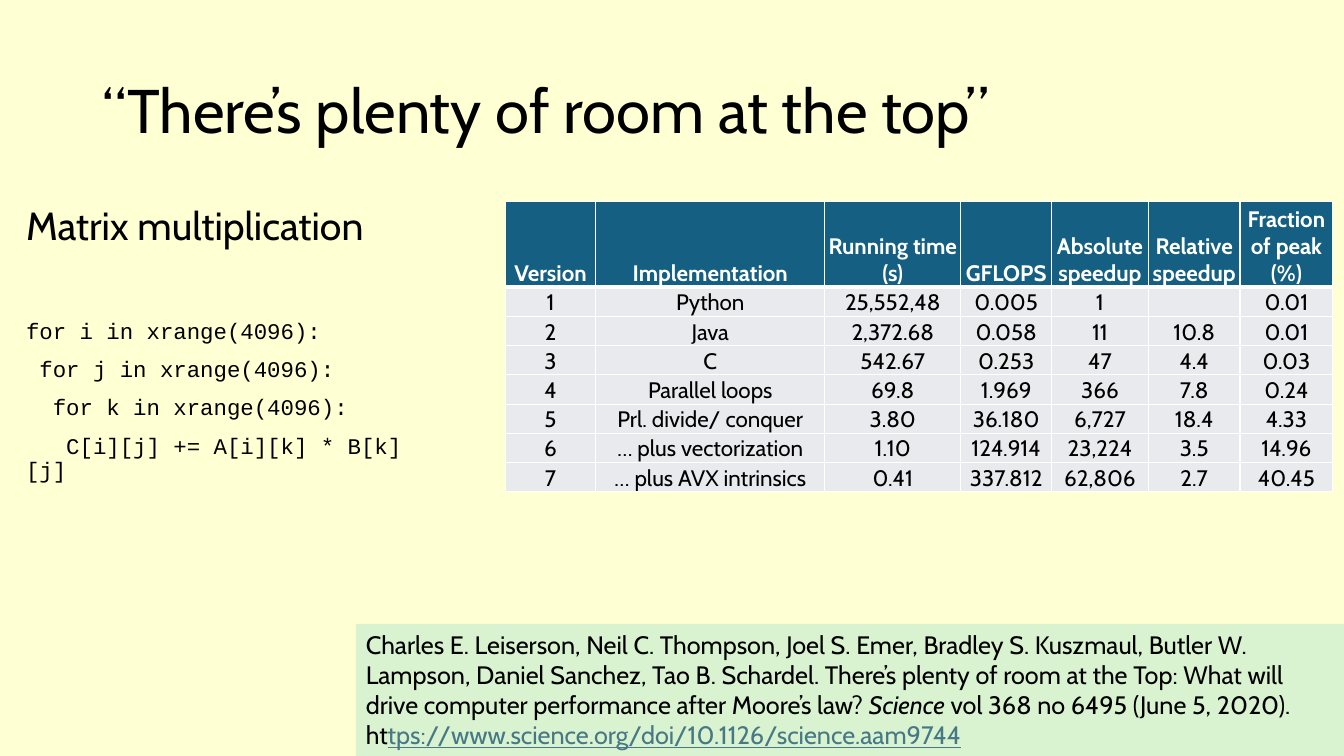
from dataclasses import dataclass

from lxml.etree import SubElement
from pptx import Presentation
from pptx.dml.color import RGBColor
from pptx.enum.shapes import MSO_SHAPE
from pptx.enum.text import MSO_ANCHOR, MSO_AUTO_SIZE, PP_ALIGN
from pptx.oxml.ns import qn
from pptx.slide import Slide
from pptx.table import _Cell
from pptx.text.text import TextFrame, _Paragraph
from pptx.util import Emu, Pt

PX = 9144  # 100 px to the inch
SANS = "Cabin"
MONO = "Courier New"

CREAM = RGBColor(0xFF, 0xFF, 0xD4)
BLACK = RGBColor(0, 0, 0)
WHITE = RGBColor(0xFF, 0xFF, 0xFF)
BLUE = RGBColor(0x15, 0x60, 0x82)
GRAY = RGBColor(0xE8, 0xEA, 0xED)
GREEN = RGBColor(0xD9, 0xF2, 0xD0)
LINK = RGBColor(0x46, 0x78, 0x86)


@dataclass(frozen=True)
class Style:
    size: int
    face: str = SANS
    color: RGBColor = BLACK
    bold: bool = False
    slant: bool = False
    under: bool = False


@dataclass(frozen=True)
class Line:
    text: str
    style: Style
    before: int = 0


@dataclass(frozen=True)
class Column:
    head: str
    width: int
    cells: tuple[str, ...]


CODE = Style(16, MONO)
LINES = (
    Line("Matrix multiplication", Style(28)),
    Line("for i in xrange(4096):", CODE, 51),
    Line(" for j in xrange(4096):", CODE, 10),
    Line("  for k in xrange(4096):", CODE, 10),
    Line("   C[i][j] += A[i][k] * B[k][j]", CODE, 10),
)

COLUMNS = (
    Column("Version", 90, tuple("1234567")),
    Column("Implementation", 227, (
        "Python", "Java", "C", "Parallel loops", "Prl. divide/ conquer",
        "… plus vectorization", "… plus AVX intrinsics")),
    Column("Running time (s)", 135, (
        "25,552,48", "2,372.68", "542.67", "69.8", "3.80", "1.10", "0.41")),
    Column("GFLOPS", 90, (
        "0.005", "0.058", "0.253", "1.969", "36.180", "124.914", "337.812")),
    Column("Absolute speedup", 96, (
        "1", "11", "47", "366", "6,727", "23,224", "62,806")),
    Column("Relative speedup", 91, (
        "", "10.8", "4.4", "7.8", "18.4", "3.5", "2.7")),
    Column("Fraction of peak (%)", 92, (
        "0.01", "0.01", "0.03", "0.24", "4.33", "14.96", "40.45")),
)
HEAD_H, ROW_H = 85, 29

NOTE = Style(18)
SOURCE = (
    ("Charles E. Leiserson, Neil C. Thompson, Joel S. Emer, Bradley S. "
     "Kuszmaul, Butler W. Lampson, Daniel Sanchez, Tao B. Schardel. There’s "
     "plenty of room at the Top: What will drive computer performance after "
     "Moore’s law? ", NOTE),
    ("Science", Style(18, slant=True)),
    (" vol 368 no 6495 (June 5, 2020). ht", NOTE),
    ("tps://www.science.org/doi/10.1126/science.aam9744",
     Style(18, color=LINK, under=True)),
)


def px(*sizes: int) -> list[Emu]:
    return [Emu(size * PX) for size in sizes]


def add_run(para: _Paragraph, text: str, style: Style) -> None:
    run = para.add_run()
    run.text = text
    font = run.font
    font.size, font.name = Pt(style.size), style.face
    font.color.rgb = style.color
    font.bold, font.italic, font.underline = style.bold, style.slant, style.under


def add_lines(frame: TextFrame, lines: tuple[Line, ...]) -> None:
    frame.word_wrap = True
    frame.auto_size = MSO_AUTO_SIZE.NONE
    for i, line in enumerate(lines):
        para = frame.add_paragraph() if i else frame.paragraphs[0]
        para.alignment = PP_ALIGN.LEFT
        para.line_spacing = 0.9
        para.space_before = Pt(line.before)
        add_run(para, line.text, line.style)


def set_edge(cell: _Cell, side: str, width: int) -> None:
    edge = SubElement(cell._tc.get_or_add_tcPr(), qn(f"a:ln{side}"), w=str(Pt(width)))
    fill = SubElement(edge, qn("a:solidFill"))
    SubElement(fill, qn("a:srgbClr"), val=str(WHITE))


def fill_cell(cell: _Cell, text: str, row: int) -> None:
    head = row == 0
    top, bottom = (3 if row == 1 else 1), (3 if head else 1)
    for side, width in zip("LRTB", (1, 1, top, bottom)):
        set_edge(cell, side, width)
    cell.fill.solid()
    cell.fill.fore_color.rgb = BLUE if head else GRAY
    cell.vertical_anchor = MSO_ANCHOR.BOTTOM
    cell.margin_left, cell.margin_right, cell.margin_top, cell.margin_bottom = px(1, 1, 1, 0)
    para = cell.text_frame.paragraphs[0]
    para.alignment = PP_ALIGN.CENTER
    if text:
        add_run(para, text, Style(16, color=WHITE if head else BLACK, bold=head))
    else:
        SubElement(para._p, qn("a:endParaRPr"), sz="1600")


def add_grid(slide: Slide, left: int, top: int) -> None:
    count = len(COLUMNS[0].cells)
    wide = sum(col.width for col in COLUMNS)
    tall = HEAD_H + count * ROW_H
    table = slide.shapes.add_table(
        count + 1, len(COLUMNS), *px(left, top, wide, tall)).table
    table.horz_banding = False
    for i, row in enumerate(table.rows):
        row.height = Emu((ROW_H if i else HEAD_H) * PX)
    for c, col in enumerate(COLUMNS):
        table.columns[c].width = Emu(col.width * PX)
        for r, text in enumerate((col.head, *col.cells)):
            fill_cell(table.cell(r, c), text, r)


def main() -> None:
    deck = Presentation()
    deck.slide_width, deck.slide_height = px(1333, 750)
    slide = deck.slides.add_slide(deck.slide_layouts[5])
    slide.background.fill.solid()
    slide.background.fill.fore_color.rgb = CREAM

    # Title
    title = slide.shapes.title
    title.left, title.top, title.width, title.height = px(92, 40, 1147, 145)
    title.text_frame.vertical_anchor = MSO_ANCHOR.MIDDLE
    add_lines(title.text_frame,
              (Line("“There’s plenty of room at the top”", Style(44)),))

    # Heading and code
    body = slide.shapes.add_textbox(*px(16, 200, 413, 300))
    add_lines(body.text_frame, LINES)

    # Speedup table
    add_grid(slide, 501, 200)

    # Source box
    box = slide.shapes.add_shape(MSO_SHAPE.RECTANGLE, *px(353, 619, 980, 131))
    box.shadow.inherit = False
    box.fill.solid()
    box.fill.fore_color.rgb = GREEN
    box.line.fill.background()
    frame = box.text_frame
    frame.word_wrap = True
    frame.vertical_anchor = MSO_ANCHOR.TOP
    para = frame.paragraphs[0]
    para.alignment = PP_ALIGN.LEFT
    for text, style in SOURCE:
        add_run(para, text, style)

    deck.save("out.pptx")


if __name__ == "__main__":
    main()
